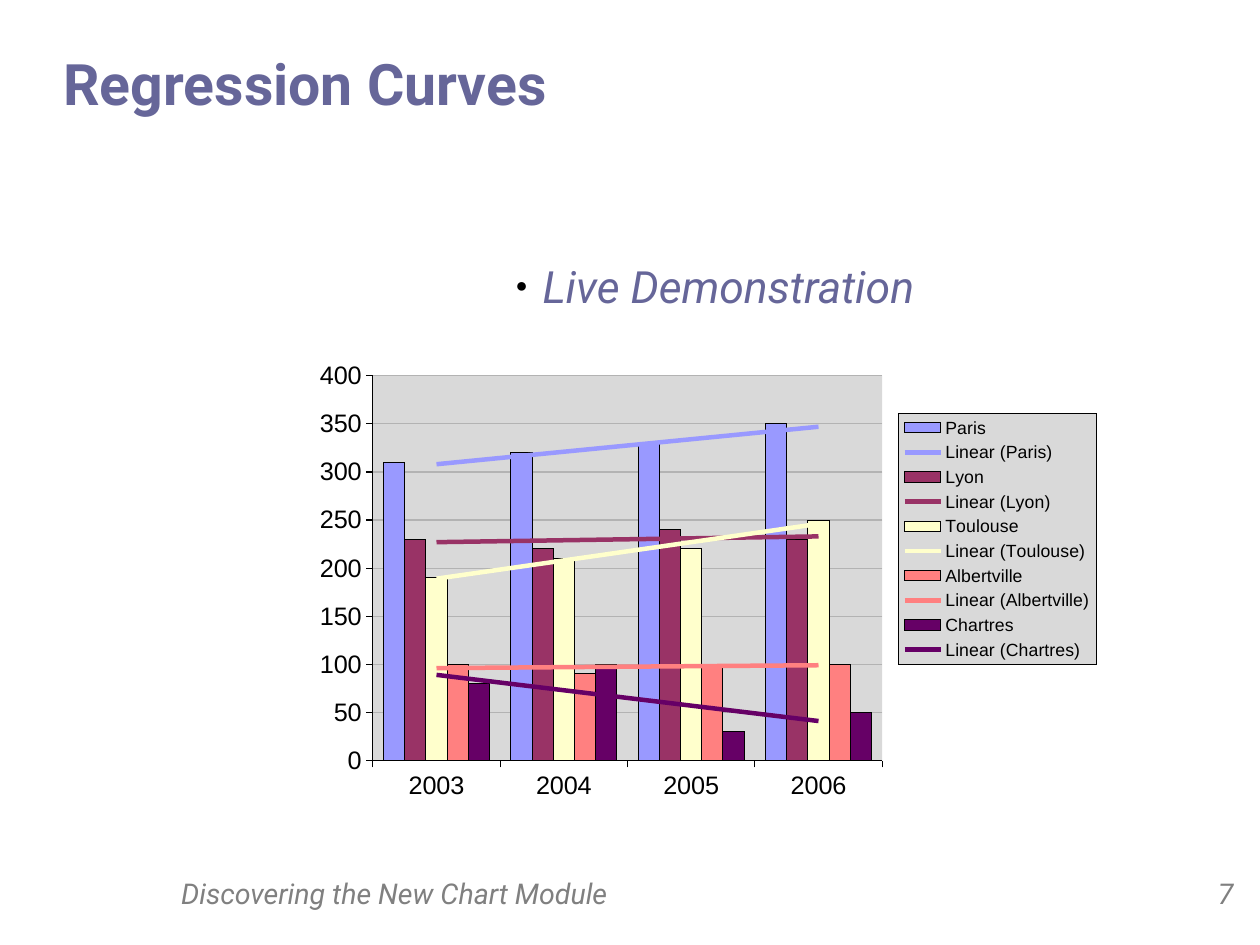
from lxml import etree
from pptx import Presentation
from pptx.chart.data import CategoryChartData
from pptx.dml.color import RGBColor
from pptx.enum.chart import XL_CHART_TYPE, XL_LEGEND_POSITION, XL_TICK_LABEL_POSITION, XL_TICK_MARK
from pptx.enum.text import MSO_ANCHOR, PP_ALIGN
from pptx.oxml import parse_xml
from pptx.oxml.ns import nsdecls, qn
from pptx.util import Pt

LEFT, CENTER, RIGHT = PP_ALIGN.LEFT, PP_ALIGN.CENTER, PP_ALIGN.RIGHT
TOP, MIDDLE = MSO_ANCHOR.TOP, MSO_ANCHOR.MIDDLE
COLUMNS = XL_CHART_TYPE.COLUMN_CLUSTERED
LEGEND_RIGHT = XL_LEGEND_POSITION.RIGHT
LABELS_LOW = XL_TICK_LABEL_POSITION.LOW
TICK_OUT, TICK_NONE = XL_TICK_MARK.OUTSIDE, XL_TICK_MARK.NONE

# Content
SLIDE_SIZE = (793.7, 595.28)
COLORS = {
    "heading": "666699", "footer": "808080", "black": "000000", "white": "FFFFFF",
    "wall": "D9D9D9", "grid": "B3B3B3", "Paris": "9999FF", "Lyon": "993366",
    "Toulouse": "FFFFCC", "Albertville": "FF8080", "Chartres": "660066",
}
HEADING = {"size": 36, "bold": True, "color": "heading"}
DEMO = {"size": 28, "italic": True, "color": "heading"}
FOOTER = {"size": 18, "italic": True, "color": "footer"}

# text, box, insets (x, y), anchor, alignment, margin, indent, bullet, font
TEXTS = [
    ("7", (669.6, 548.3, 114.5, 30.2), (7.2, 3.6), TOP, RIGHT, 0, 0, None, FOOTER),
    ("Discovering the New Chart Module", (107, 548.3, 396.7, 29.5), (7.2, 3.6),
     TOP, LEFT, 0, 0, None, FOOTER),
    ("Regression Curves", (11.5, 25.2, 545.8, 54), (0, 0), MIDDLE, LEFT, 28.5, 0, None, HEADING),
    ("Live Demonstration", (107, 163.4, 669.6, 375.8), (0, 0),
     TOP, CENTER, 34, -17, "●", DEMO),
]
YEARS = ["2003", "2004", "2005", "2006"]
CITIES = {
    "Paris": (310, 320, 330, 350),
    "Lyon": (230, 220, 240, 230),
    "Toulouse": (190, 210, 220, 250),
    "Albertville": (100, 90, 100, 100),
    "Chartres": (80, 100, 30, 50),
}
CHART_BOX = (191.5, 222.2, 499, 293)
PLOT_LAYOUT = {"x": 0.02, "y": 0.02, "w": 0.71, "h": 0.94}
LEGEND_LAYOUT = {"x": 0.75, "y": 0.13, "w": 0.25, "h": 0.54}


def set_font(font, name, size, color, **styles):
    values = {"name": name, "size": Pt(size), **styles}
    for attribute, value in values.items():
        setattr(font, attribute, value)
    font.color.rgb = RGBColor.from_string(COLORS[color])


def set_line(line, color, width=0):
    line.color.rgb = RGBColor.from_string(COLORS[color])
    line.width = Pt(width)


def add_bullet(paragraph, character):
    properties = paragraph._p.get_or_add_pPr()
    color = etree.SubElement(properties, qn("a:buClr"))
    etree.SubElement(color, qn("a:srgbClr"), val=COLORS["black"])
    etree.SubElement(properties, qn("a:buSzPct"), val="45000")
    etree.SubElement(properties, qn("a:buFont"), typeface="Arial")
    etree.SubElement(properties, qn("a:buChar"), char=character)


def add_text(slide, text, box, insets, anchor, alignment, margin, indent, bullet, style):
    frame = slide.shapes.add_textbox(*map(Pt, box)).text_frame
    side, edge = map(Pt, insets)
    frame_format = {
        "word_wrap": True, "vertical_anchor": anchor, "margin_left": side,
        "margin_right": side, "margin_top": edge, "margin_bottom": edge,
    }
    for attribute, value in frame_format.items():
        setattr(frame, attribute, value)
    paragraph = frame.paragraphs[0]
    paragraph.alignment = alignment
    properties = paragraph._p.get_or_add_pPr()
    properties.set("marL", str(Pt(margin)))
    properties.set("indent", str(Pt(indent)))
    if bullet:
        add_bullet(paragraph, bullet)
    run = paragraph.add_run()
    run.text = text
    set_font(run.font, "Roboto", **style)


def area_format(fill, border=None):
    line = f'<a:solidFill><a:srgbClr val="{COLORS[border]}"/></a:solidFill>' if border else "<a:noFill/>"
    return parse_xml(
        f'<c:spPr {nsdecls("c", "a")}><a:solidFill><a:srgbClr val="{COLORS[fill]}"/></a:solidFill>'
        f'<a:ln w="0">{line}</a:ln></c:spPr>')


def manual_layout(sizes, target=""):
    values = "".join(f'<c:{key} val="{value}"/>' for key, value in sizes.items())
    return parse_xml(
        f'<c:layout {nsdecls("c")}><c:manualLayout>{target}<c:xMode val="edge"/>'
        f'<c:yMode val="edge"/>{values}</c:manualLayout></c:layout>')


def trend_line(city):
    return parse_xml(
        f'<c:trendline {nsdecls("c", "a")}><c:name>Linear ({city})</c:name>'
        f'<c:spPr><a:ln w="{Pt(2.83)}"><a:solidFill><a:srgbClr val="{COLORS[city]}"/></a:solidFill></a:ln></c:spPr>'
        '<c:trendlineType val="linear"/><c:dispRSqr val="0"/><c:dispEq val="0"/></c:trendline>')


def add_city_chart(slide):
    data = CategoryChartData()
    data.categories = YEARS
    for city, values in CITIES.items():
        data.add_series(city, values)
    chart = slide.shapes.add_chart(COLUMNS, *map(Pt, CHART_BOX), data).chart
    chart.has_title = False
    set_font(chart.font, "Arial", 10, "black")

    # Columns with their regression lines
    plot = chart.plots[0]
    plot.gap_width, plot.overlap, plot.vary_by_categories = 100, 0, False
    for series in plot.series:
        series.format.fill.solid()
        series.format.fill.fore_color.rgb = RGBColor.from_string(COLORS[series.name])
        set_line(series.format.line, "black")
        series._element.find(qn("c:cat")).addprevious(trend_line(series.name))

    # Axes
    for axis in (chart.category_axis, chart.value_axis):
        axis.major_tick_mark, axis.minor_tick_mark = TICK_OUT, TICK_NONE
        set_font(axis.tick_labels.font, "Arial", 15.9, "black")
        set_line(axis.format.line, "black")
    chart.category_axis.tick_label_position = LABELS_LOW
    value_axis = chart.value_axis
    value_axis.minimum_scale, value_axis.maximum_scale, value_axis.major_unit = 0, 400, 50
    set_line(value_axis.major_gridlines.format.line, "grid")

    # Legend
    chart.has_legend = True
    legend = chart.legend
    legend.position, legend.include_in_layout = LEGEND_RIGHT, False
    set_font(legend.font, "Arial", 11.1, "black")
    legend_element = legend._element
    for layout in legend_element.findall(qn("c:layout")):
        legend_element.remove(layout)
    legend_element.find(qn("c:legendPos")).addnext(manual_layout(LEGEND_LAYOUT))
    legend_element.find(qn("c:overlay")).addnext(area_format("wall", "black"))

    # Plot wall and chart background
    chart_element = chart._chartSpace.find(qn("c:chart"))
    plot_area = chart_element.find(qn("c:plotArea"))
    for layout in plot_area.findall(qn("c:layout")):
        plot_area.remove(layout)
    plot_area.insert(0, manual_layout(PLOT_LAYOUT, '<c:layoutTarget val="outer"/>'))
    plot_area.append(area_format("wall"))
    chart_element.addnext(area_format("white"))


def main():
    presentation = Presentation()
    presentation.slide_width, presentation.slide_height = map(Pt, SLIDE_SIZE)
    slide = presentation.slides.add_slide(presentation.slide_layouts[6])
    for text in TEXTS:
        add_text(slide, *text)
    add_city_chart(slide)
    presentation.save("out.pptx")


if __name__ == "__main__":
    main()
